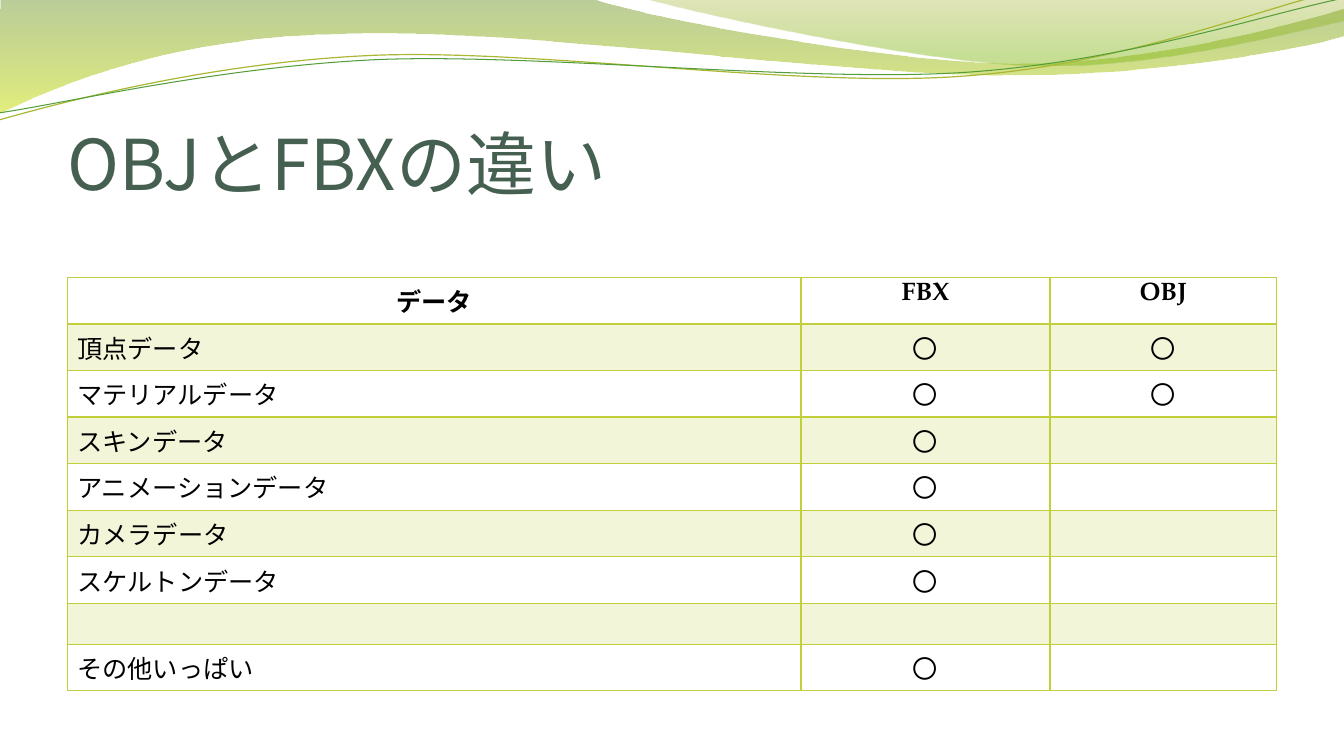
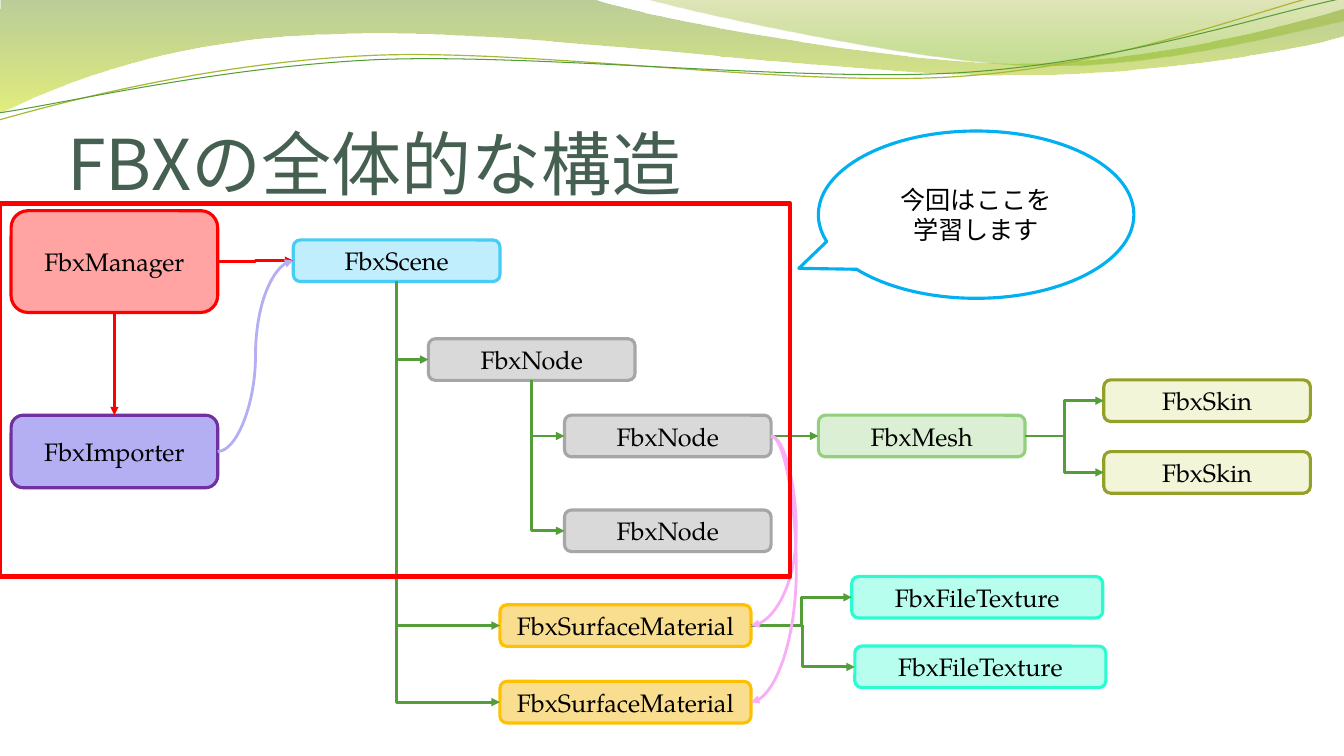
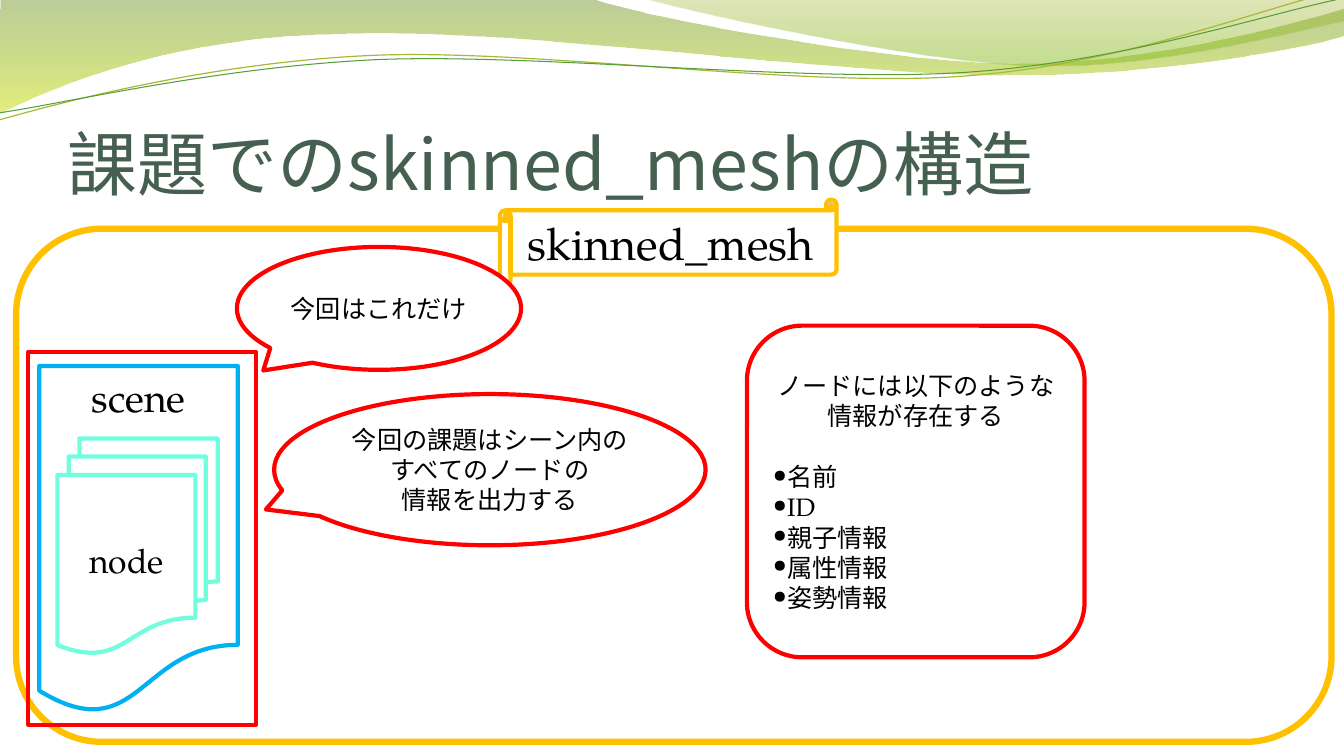
from lxml.etree import SubElement
from pptx import Presentation
from pptx.dml.color import RGBColor
from pptx.enum.shapes import MSO_CONNECTOR as LINK, MSO_SHAPE as SHAPE
from pptx.enum.text import MSO_ANCHOR as ANCHOR, PP_ALIGN as ALIGN
from pptx.oxml.ns import qn
from pptx.util import Pt

COLORS = {
    "title": "455F51", "text": "000000", "paper": "FFFFFF", "grid": "C0CF3A", "stripe": "F2F5D8",
    "moss": "69921C", "lime": "CCE10F", "olive": "9BAA1A", "leaf": "81BA16",
    "wave": "A9B733", "link": "549E39", "red": "FF0000", "blue": "00B0F0", "gold": "FFC000",
    "aqua": "72FDDF", "lilac": "B4AFF3", "pink": "F9ADF7",
}
BOX_STYLES = {
    "node": ("D9D9D9", "A6A6A6"), "scene": ("C1EEFC", "46CCF6"), "mesh": ("DBEFD4", "93D07D"),
    "skin": ("F2F5D8", "94A027"), "material": ("FADE90", "FFC000"), "manager": ("FFA3A3", "FF0000"),
    "importer": ("B4AFF3", "7030A0"), "texture": ("B8FEEF", "2BFCCF"),
}
LATIN, JAPANESE = "TeX Gyre Pagella", "Noto Sans CJK JP"
TOP, LEFT, BOTTOM, RIGHT = range(4)

BANDS = [
    (("moss", 45, 0), ("lime", 55, 1), (0, 0), [
        [(422.6, -0.7)],
        [(456.5, 12.2), (636.5, 45.4), (727.9, 45.4)],
        [(818.6, 45.4), (919.4, 18.7), (960, 6.5)],
        [(960, 25.9)],
        [(944, 31.7), (834.5, 54.7), (715.7, 54)],
        [(596.9, 54), (366.5, 20.2), (247, 24.5)],
        [(123.8, 25.9), (43.9, 59.8), (-1.4, 81.4)]]),
    (("olive", 30, 0), ("leaf", 45, 0.8), (459.4, -0.7), [
        [(488.9, 7.9), (654.5, 44.6), (738, 46.8)],
        [(820.8, 49.7), (923, 23), (960, 15.1)],
        [(960, 0)]]),
]
RIPPLES = [
    ("wave", 0.85, (-0.7, 85.7), [
        [(45.4, 72.7), (151.2, 44.6), (265.7, 39.6)],
        [(379.4, 34.6), (568.1, 62.6), (683.3, 54.7)],
        [(799.2, 47.5), (900.7, 5.8), (957.6, -7.2)]]),
    ("link", 0.75, (-0.7, 80.6), [
        [(44.6, 74.2), (157, 47.5), (271.4, 42.5)],
        [(386.6, 38.2), (573.1, 59), (687.6, 51.8)],
        [(802.1, 44.6), (903.6, 10.1), (960, -1.4)]]),
]


def rgb(color):
    return RGBColor.from_string(COLORS.get(color, color))


def points(*lengths):
    return [Pt(length) for length in lengths]


def set_all(target, formats):
    for name, value in formats.items():
        setattr(target, name, value)


def write(paragraph, text, size=18, color="text", latin=LATIN, bold=False, **formats):
    set_all(paragraph, formats)
    run = paragraph.add_run()
    run.text = text
    set_all(run.font, {"size": Pt(size), "name": latin, "bold": bold})
    run.font.color.rgb = rgb(color)
    SubElement(run.font._element, qn("a:ea"), typeface=JAPANESE)


def paint(shape, fill, line, width):
    shape.shadow.inherit = False
    if fill:
        shape.fill.solid()
        shape.fill.fore_color.rgb = rgb(fill)
    else:
        shape.fill.background()
    if line:
        shape.line.color.rgb = rgb(line)
        shape.line.width = Pt(width)
    else:
        shape.line.fill.background()


def add_figure(slide, kind, area, fill, line, width, lines=(), size=18, adjust=(), **frame):
    shape = slide.shapes.add_shape(kind, *points(*area))
    paint(shape, fill, line, width)
    for index, value in enumerate(adjust):
        shape.adjustments[index] = value
    set_all(shape.text_frame, {"word_wrap": True, "vertical_anchor": ANCHOR.MIDDLE, **frame})
    for index, line_text in enumerate(lines):
        paragraph = shape.text_frame.add_paragraph() if index else shape.text_frame.paragraphs[0]
        write(paragraph, line_text, size, alignment=ALIGN.CENTER)
    return shape


def add_bullets(shape, items, gap):
    for index, item in enumerate(items):
        paragraph = shape.text_frame.add_paragraph()
        properties = paragraph._p.get_or_add_pPr()
        properties.set("marL", str(Pt(6.5)))
        properties.set("indent", str(-Pt(6.5)))
        SubElement(properties, qn("a:buFont"), typeface=LATIN)
        SubElement(properties, qn("a:buChar"), char="•")
        write(paragraph, item, alignment=ALIGN.LEFT, space_before=Pt(0 if index else gap))


def add_curve(slide, start, segments, close):
    builder = slide.shapes.build_freeform(*points(*start))
    builder.add_line_segments([points(*spot) for segment in segments for spot in segment], close)
    shape = builder.convert_to_shape()
    steps = iter(list(shape.element.iter(qn("a:lnTo"))))
    for segment in segments:
        first, *others = [next(steps) for _ in segment]
        if others:
            first.tag = qn("a:cubicBezTo")
            for step in others:
                first.append(step[0])
                step.getparent().remove(step)
    return shape


def add_gradient(shape, stops):
    shape.fill.gradient()
    shape.fill.gradient_angle = 270
    for stop, (color, opacity, position) in zip(shape.fill.gradient_stops, stops):
        stop.color.rgb = rgb(color)
        stop.position = position
    for tint, (_, opacity, _) in zip(shape.element.iter(qn("a:srgbClr")), stops):
        SubElement(tint, qn("a:alpha"), val=str(opacity * 1000))


def decorate(layout, slide):
    waves = []
    for upper, lower, start, segments in BANDS:
        band = add_curve(slide, start, segments, True)
        paint(band, None, None, 0)
        add_gradient(band, (upper, lower))
        waves.append(band)
    for color, width, start, segments in RIPPLES:
        ripple = add_curve(slide, start, segments, False)
        paint(ripple, None, color, width)
        waves.append(ripple)
    for depth, wave in enumerate(waves, 2):
        layout.shapes.element.insert(depth, wave.element)


def add_titled_slide(deck, layout, text):
    slide = deck.slides.add_slide(layout)
    title = slide.shapes.title
    left, top, width, height = points(48, 55.4, 864, 90)
    set_all(title, {"left": left, "top": top, "width": width, "height": height})
    set_all(title.text_frame, {
        "vertical_anchor": ANCHOR.BOTTOM, "word_wrap": True, "margin_left": 0,
        "margin_top": Pt(3.6), "margin_right": 0, "margin_bottom": 0})
    write(title.text_frame.paragraphs[0], text, 50, "title", JAPANESE,
          alignment=ALIGN.LEFT, line_spacing=0.8)
    return slide


def add_border(cell, bottom):
    for side in "LRTB":
        width = bottom if side == "B" else 1
        edge = SubElement(cell._tc.get_or_add_tcPr(), qn(f"a:ln{side}"), w=str(Pt(width)))
        SubElement(SubElement(edge, qn("a:solidFill")), qn("a:srgbClr"), val=COLORS["grid"])


def add_grid(slide, area, widths, rows):
    table = slide.shapes.add_table(len(rows), len(widths), *points(*area)).table
    set_all(table, {"first_row": False, "horz_banding": False})
    for column, width in zip(table.columns, widths):
        column.width = Pt(width)
    for row_index, row in enumerate(rows):
        for column_index, text in enumerate(row):
            cell = table.cell(row_index, column_index)
            header = row_index == 0
            add_border(cell, 2 if header else 1)
            if row_index % 2:
                cell.fill.solid()
                cell.fill.fore_color.rgb = rgb("stripe")
            else:
                cell.fill.background()
            if text:
                centred = header or column_index
                write(cell.text_frame.paragraphs[0], text, bold=header,
                      alignment=ALIGN.CENTER if centred else ALIGN.LEFT)


def add_link(slide, source, target, color="link", kind=LINK.ELBOW, sides=(RIGHT, LEFT), bend=None):
    link = slide.shapes.add_connector(kind, 0, 0, 0, 0)
    link.begin_connect(source, sides[0])
    link.end_connect(target, sides[1])
    link.line.color.rgb = rgb(color)
    link.line.width = Pt(2)
    properties = link.element.spPr
    SubElement(properties.find(qn("a:ln")), qn("a:tailEnd"), type="triangle")
    SubElement(properties, qn("a:effectLst"))
    geometry = properties.find(qn("a:prstGeom"))
    if bend is not None:
        SubElement(geometry.find(qn("a:avLst")), qn("a:gd"), name="adj1", fmla=f"val {bend}")
    if sides == (BOTTOM, LEFT):
        geometry.set("prst", "bentConnector2")
        width, height = link.width, link.height
        shift = (width - height) // 2
        set_all(link, {"left": link.left + shift, "top": link.top - shift,
                       "width": height, "height": width})
        frame = properties.find(qn("a:xfrm"))
        frame.set("rot", str(270 * 60000))
        frame.set("flipH", "1")


def fill_comparison(slide):
    mark = "〇"
    add_grid(slide, (48, 198, 864, 262.8), (524.2, 177.8, 162), [
        ("データ", "FBX", "OBJ"),
        ("頂点データ", mark, mark),
        ("マテリアルデータ", mark, mark),
        ("スキンデータ", mark, ""),
        ("アニメーションデータ", mark, ""),
        ("カメラデータ", mark, ""),
        ("スケルトンデータ", mark, ""),
        ("", "", ""),
        ("その他いっぱい", mark, ""),
    ])


def fill_structure(slide):
    def box(style, text, left, top, width=147.6, height=29.7):
        return add_figure(slide, SHAPE.ROUNDED_RECTANGLE, (left, top, width, height),
                          *BOX_STYLES[style], 2.25, [text])

    root = box("node", "FbxNode", 306, 242)
    scene = box("scene", "FbxScene", 209.5, 171.4)
    children = [box("node", "FbxNode", 403.2, top) for top in (296.6, 364.3)]
    mesh = box("mesh", "FbxMesh", 584.6, 296.6)
    skins = [box("skin", "FbxSkin", 788.4, top) for top in (271.4, 322.6)]
    materials = [box("material", "FbxSurfaceMaterial", 357.1, top, 179.3) for top in (432, 486.7)]
    manager = box("manager", "FbxManager", 7.9, 150.5, height=72.7)
    importer = box("importer", "FbxImporter", 7.9, 296.6, height=51.8)
    textures = [box("texture", "FbxFileTexture", left, top, 179.3)
                for left, top in ((608.4, 411.8), (610.6, 461.5))]

    for parent, branches in ((scene, [root, *materials]), (root, children)):
        for branch in branches:
            add_link(slide, parent, branch, sides=(BOTTOM, LEFT))
    for parent, branches in ((children[0], [mesh]), (mesh, skins), (materials[0], textures)):
        for branch in branches:
            add_link(slide, parent, branch)
    add_link(slide, manager, scene, "red")
    add_link(slide, manager, importer, "red", LINK.STRAIGHT, (BOTTOM, TOP))
    add_link(slide, importer, scene, "lilac", LINK.CURVE)
    for material in reversed(materials):
        add_link(slide, children[0], material, "pink", LINK.CURVE, (RIGHT, RIGHT), -125400)

    add_figure(slide, SHAPE.RECTANGLE, (0, 145.4, 564.5, 266.4), None, "red", 3)
    add_figure(slide, SHAPE.OVAL_CALLOUT, (584.6, 93.6, 225.4, 119.5), "paper", "blue", 2.25,
               ["今回はここを", "学習します"], adjust=(-0.562, 0.321))


def fill_assignment(slide):
    add_figure(slide, SHAPE.ROUNDED_RECTANGLE, (11.5, 163.4, 939.6, 366.5), None, "gold", 4.5)
    add_figure(slide, SHAPE.HORIZONTAL_SCROLL, (357.1, 142.6, 240.5, 61.2), "paper", "gold", 3,
               ["skinned_mesh"], 32)
    add_figure(slide, SHAPE.FLOWCHART_DOCUMENT, (28.1, 261.4, 141.8, 248.4), "paper", "blue", 3,
               ["scene"], 28, vertical_anchor=ANCHOR.TOP, margin_top=Pt(5))
    add_figure(slide, SHAPE.FLOWCHART_MULTIDOCUMENT, (41, 313.2, 114.5, 153.4), "paper", "aqua", 3,
               ["node"], 24)
    details = add_figure(slide, SHAPE.ROUNDED_RECTANGLE, (533.5, 232.6, 241.2, 236.9), "paper",
                         "red", 3, ["ノードには以下のような", "情報が存在する"])
    add_bullets(details, ["名前", "ID", "親子情報", "属性情報", "姿勢情報"], 22)
    add_figure(slide, SHAPE.RECTANGLE, (20.2, 251.3, 162.7, 266.4), None, "red", 3)
    add_figure(slide, SHAPE.OVAL_CALLOUT, (195.8, 281.5, 308.2, 108), "paper", "red", 3,
               ["今回の課題はシーン内の", "すべてのノードの", "情報を出力する"], adjust=(-0.519, 0.263))
    add_figure(slide, SHAPE.OVAL_CALLOUT, (169.2, 176.4, 203, 87.8), "paper", "red", 3,
               ["今回はこれだけ"], adjust=(-0.407, 0.505))


def main():
    deck = Presentation()
    set_all(deck, {"slide_width": Pt(960), "slide_height": Pt(540)})
    layout = deck.slide_layouts[5]
    contents = [
        ("OBJとFBXの違い", fill_comparison),
        ("FBXの全体的な構造", fill_structure),
        ("課題でのskinned_meshの構造", fill_assignment),
    ]
    for number, (title, fill_slide) in enumerate(contents):
        slide = add_titled_slide(deck, layout, title)
        if number == 0:
            decorate(layout, slide)
        fill_slide(slide)
    deck.save("out.pptx")


if __name__ == "__main__":
    main()
